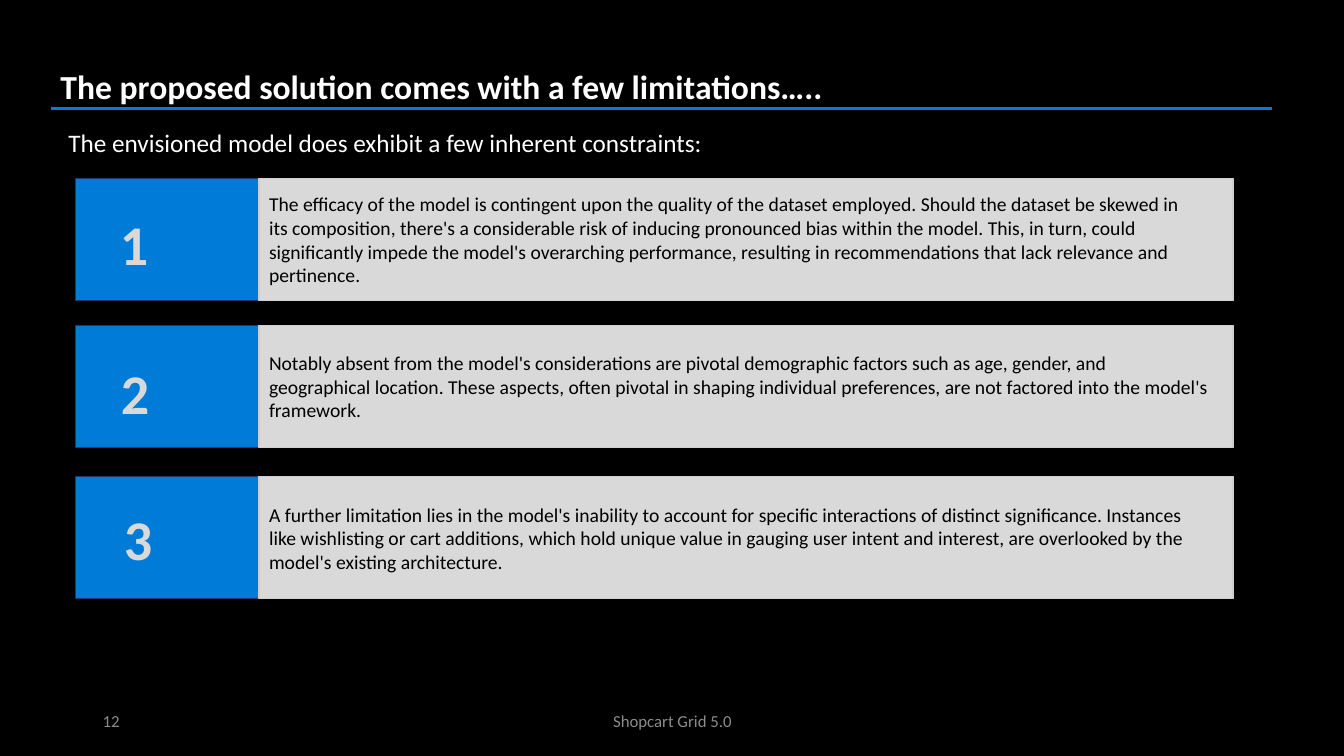
import pptx
import pptx.util
import pptx.dml.color
import pptx.enum.shapes
import pptx.enum.text
import lxml.etree

Inches = pptx.util.Inches
RGBColor = pptx.dml.color.RGBColor
Align = pptx.enum.text.PP_ALIGN
Anchor = pptx.enum.text.MSO_ANCHOR
Shape = pptx.enum.shapes.MSO_SHAPE

BLACK = RGBColor(0x00, 0x00, 0x00)
WHITE = RGBColor(0xFF, 0xFF, 0xFF)
BLUE = RGBColor(0x00, 0x7C, 0xD8)
NAVY = RGBColor(0x20, 0x38, 0x64)
PALE = RGBColor(0xD9, 0xD9, 0xD9)
EDGE = RGBColor(0xD0, 0xCE, 0xCE)
GRAY = RGBColor(0x8C, 0x8C, 0x8C)

TITLE = "The proposed solution comes with a few limitations….."
INTRO = "The envisioned model does exhibit a few inherent constraints:"
FOOTER = "Shopcart Grid 5.0"
PAGE = "12"
TIE, HARD = "~", chr(160)
LIMITS = [
    (1.77, 1.09, 2.03,
     "The efficacy of the model is contingent upon the quality of the dataset employed. "
     "Should the dataset be skewed in its~composition, there's a considerable risk of "
     "inducing pronounced bias within the model. This, in turn, could "
     "significantly~impede the model's overarching performance, resulting in "
     "recommendations that lack relevance and pertinence."),
    (3.23, 1.1, 3.51,
     "Notably absent from the model's considerations are pivotal demographic factors such "
     "as age, gender, and geographical~location. These aspects, often pivotal in shaping "
     "individual preferences, are not factored into the model's framework."),
    (4.73, 1.13, 4.96,
     "A further limitation lies in the model's inability to account for specific "
     "interactions of distinct significance. Instances like~wishlisting~or cart additions, "
     "which hold unique value in gauging user intent and interest, are overlooked by the "
     "model's~existing architecture."),
]

LEFT, TAB, WIDE, HIGH = 0.75, 1.82, 9.66, 1.21


def write(shape, text, size, color, bold=False, align=Align.LEFT, anchor=Anchor.TOP):
    frame = shape.text_frame
    frame.word_wrap = True
    frame.auto_size = pptx.enum.text.MSO_AUTO_SIZE.NONE
    frame.vertical_anchor = anchor
    frame.text = text
    par = frame.paragraphs[0]
    par.alignment = align
    font = par.font
    font.name, font.size, font.bold = "Calibri", pptx.util.Pt(size), bold
    font.color.rgb = color


def label(shapes, box, *args, **style):
    write(shapes.add_textbox(*map(Inches, box)), *args, **style)


def panel(shapes, box, fill, edge):
    rect = shapes.add_shape(Shape.RECTANGLE, *map(Inches, box))
    rect.shadow.inherit = False
    rect.fill.solid()
    rect.fill.fore_color.rgb = fill
    rect.line.color.rgb = edge
    rect.line.width = pptx.util.Pt(1)
    return rect


def main():
    deck = pptx.Presentation()
    deck.slide_width, deck.slide_height = Inches(13.33), Inches(7.5)
    slide = deck.slides.add_slide(deck.slide_layouts[5])
    slide.background.fill.solid()
    slide.background.fill.fore_color.rgb = BLACK
    shapes = slide.shapes

    title = shapes.title
    title.left, title.top = Inches(0.5), Inches(0.6)
    title.width, title.height = Inches(12.23), Inches(0.5)
    write(title, TITLE, 24, WHITE, bold=True)

    label(shapes, (4.42, 6.95, 4.5, 0.4), FOOTER, 12, GRAY,
          align=Align.CENTER, anchor=Anchor.MIDDLE)
    label(shapes, (0.92, 6.95, 3, 0.4), PAGE, 12, GRAY, anchor=Anchor.MIDDLE)
    label(shapes, (0.58, 1.21, 9.66, 0.4), INTRO, 18, WHITE)

    for num, (top, x, y, text) in enumerate(LIMITS, 1):
        group = shapes.add_group_shape().shapes
        panel(group, (LEFT, top, TAB, HIGH), BLUE, NAVY)
        card = panel(group, (LEFT + TAB, top, WIDE, HIGH), PALE, EDGE)
        write(card, text.replace(TIE, HARD), 14, BLACK, anchor=Anchor.MIDDLE)
        label(group, (x, y, 0.88, 0.77), str(num), 40, PALE, bold=True)

    rule = shapes.add_connector(pptx.enum.shapes.MSO_CONNECTOR.STRAIGHT,
                                Inches(0.51), Inches(1.08), Inches(12.62), Inches(1.08))
    rule.line.color.rgb = BLUE
    rule.line.width = pptx.util.Pt(2.25)
    lxml.etree.SubElement(rule._element.spPr, pptx.oxml.ns.qn("a:effectLst"))

    deck.save("out.pptx")


if __name__ == "__main__":
    main()
